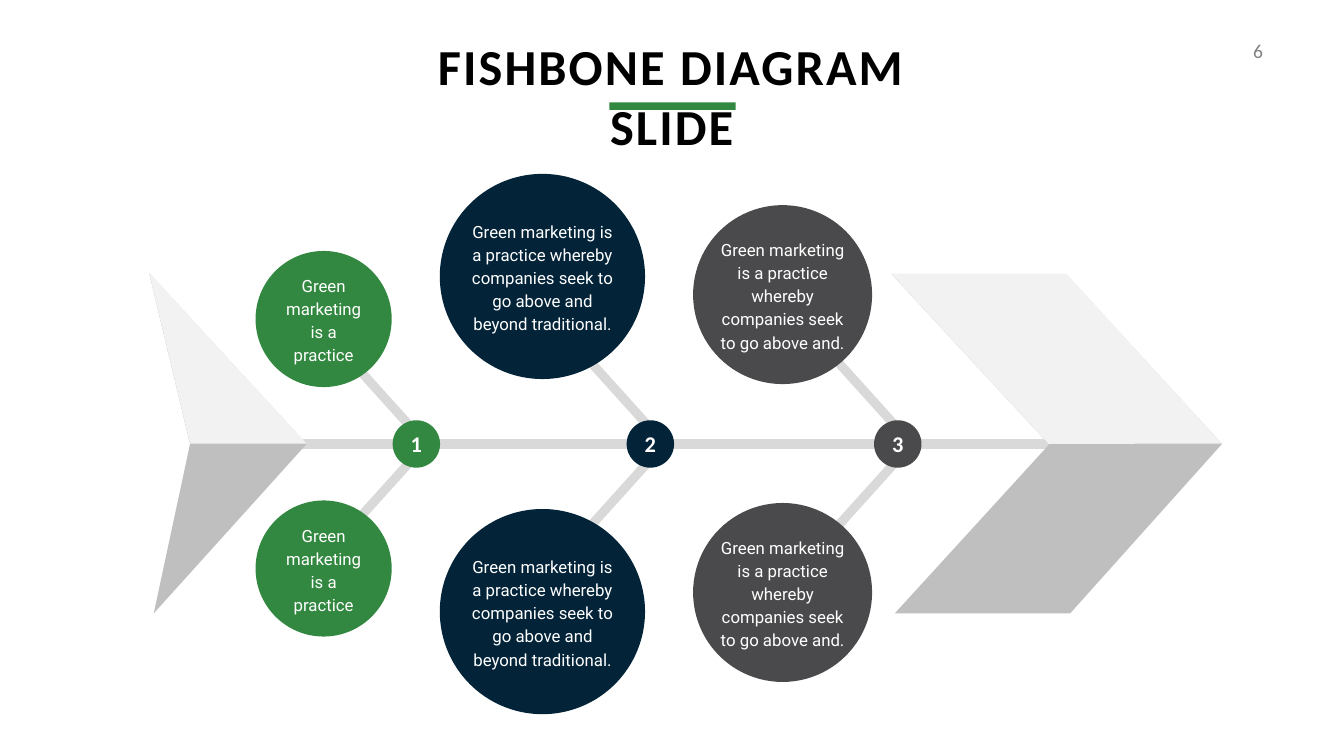
"""Build a fishbone diagram slide, with every length a percentage of the slide."""
from dataclasses import dataclass

from pptx import Presentation, util as u
from pptx.dml.color import RGBColor
from pptx.enum import shapes, text
from pptx.oxml.ns import qn
from lxml import etree


@dataclass(frozen=True)
class Theme:
    heading_font: str = "Calibri"
    body_font: str = "Roboto"
    black: str = "000000"
    white: str = "FFFFFF"
    muted: str = "808080"
    green: str = "328840"
    navy: str = "022338"
    charcoal: str = "4A4A4C"
    bone: str = "D9D9D9"
    light: str = "F2F2F2"
    shade: str = "BFBFBF"
    title_size: int = 72
    number_size: int = 32
    body_size: int = 24
    page_size: int = 28
    body_leading: int = 33
    bone_width: int = 13
    tracking: int = 3


THEME = Theme()
WIDTH, HEIGHT = 26.66, 15
SPINE_Y = 58.73
SPINE_X = (19.84, 78.92)
BONE_SLOPE = 1.11
NODE_DIAMETER = 3.53
NUMBER_BOX = (1.65, 4.27)
BODY_INSETS = (0.9, 0.8)

TITLE = ("FISHBONE DIAGRAM SLIDE", (27.61, 4.27, 44.75, 8.73))
TITLE_RULE = (45.35, 13.53, 9.38, 1)
PAGE = ("6", (91.19, 4.8, 3.15, 3.8))

BRANCHES = [
    dict(number="1", body="Green marketing is a practice", color=THEME.green,
         node=30.98, joint=31.7, reach=10.88, x=24.08, rows=(42.2, 75.2),
         diameter=10.13, box=(8.44, 10.67)),
    dict(number="2", body="Green marketing is a practice whereby companies seek to "
         "go above and beyond traditional.", color=THEME.navy,
         node=48.39, joint=49.44, reach=11.74, x=40.36, rows=(36.57, 80.9),
         diameter=15.27, box=(12.3, 16.8)),
    dict(number="3", body="Green marketing is a practice whereby companies seek to "
         "go above and.", color=THEME.charcoal,
         node=66.8, joint=67.84, reach=11.74, x=58.23, rows=(38.97, 78.37),
         diameter=13.32, box=(11.63, 16.8)),
]

FISH_PARTS = [
    (THEME.shade, [(66.58, 81.13), (79.63, 81.13), (90.92, 58.73),
                   (79.33, 36.27), (66.35, 36.27), (78.06, 58.8)]),
    (THEME.shade, [(22.81, 58.73), (11.1, 36.13), (14.14, 58.73), (11.44, 81.13)]),
    (THEME.light, [(90.89, 58.67), (79.33, 36.2), (66.32, 36.2), (78.02, 58.73)]),
    (THEME.light, [(22.81, 58.67), (11.1, 36.07), (14.14, 58.67)]),
]


def across(share):
    return u.Inches(WIDTH * share / 100)


def down(share):
    return u.Inches(HEIGHT * share / 100)


def place(box):
    left, top, width, height = box
    return across(left), down(top), across(width), down(height)


def centered(x, y, size):
    width, height = size
    return x - width / 2, y - height / 2, width, height


def paint(shape, color):
    shape.shadow.inherit = False
    shape.fill.solid()
    shape.fill.fore_color.rgb = RGBColor.from_string(color)
    shape.line.fill.background()


def add_block(slide, kind, box, color):
    paint(slide.shapes.add_shape(kind, *place(box)), color)


def add_circle(slide, x, y, diameter, color):
    size = (diameter, diameter * WIDTH / HEIGHT)
    add_block(slide, shapes.MSO_SHAPE.OVAL, centered(x, y, size), color)


def add_bone(slide, start, end):
    connector = slide.shapes.add_connector(
        shapes.MSO_CONNECTOR.STRAIGHT,
        across(start[0]), down(start[1]), across(end[0]), down(end[1]))
    connector.line.width = u.Pt(THEME.bone_width)
    connector.line.color.rgb = RGBColor.from_string(THEME.bone)
    etree.SubElement(connector._element.spPr, qn("a:effectLst"))


def add_polygon(slide, points, color):
    corners = [(across(x), down(y)) for x, y in points]
    builder = slide.shapes.build_freeform(*corners[0])
    builder.add_line_segments(corners[1:], close=True)
    paint(builder.convert_to_shape(), color)


def add_label(slide, box, words, font, size, color, bold=False, align="CENTER",
              anchor="MIDDLE", wrap=True, leading=None, insets=None, tracking=None):
    frame = slide.shapes.add_textbox(*place(box)).text_frame
    frame.word_wrap = wrap
    frame.vertical_anchor = text.MSO_ANCHOR[anchor]
    if insets:
        frame.margin_left = frame.margin_right = across(insets[0])
        frame.margin_top = frame.margin_bottom = down(insets[1])
    paragraph = frame.paragraphs[0]
    paragraph.alignment = text.PP_ALIGN[align]
    if leading:
        paragraph.line_spacing = u.Pt(leading)
    run = paragraph.add_run()
    run.text = words
    run.font.name, run.font.size, run.font.bold = font, u.Pt(size), bold
    run.font.color.rgb = RGBColor.from_string(color)
    if tracking:
        run._r.get_or_add_rPr().set("spc", str(tracking * 100))


def add_bones(slide):
    add_bone(slide, (SPINE_X[0], SPINE_Y), (SPINE_X[1], SPINE_Y))
    for branch in BRANCHES:
        rise = branch["reach"] * BONE_SLOPE * WIDTH / HEIGHT
        for side in (-1, 1):
            start = (branch["joint"] - branch["reach"], SPINE_Y + side * rise)
            add_bone(slide, start, (branch["joint"], SPINE_Y))


def add_branch(slide, branch):
    for y in branch["rows"]:
        add_circle(slide, branch["x"], y, branch["diameter"], branch["color"])
        add_label(slide, centered(branch["x"], y, branch["box"]), branch["body"],
                  THEME.body_font, THEME.body_size, THEME.white,
                  leading=THEME.body_leading, insets=BODY_INSETS)
    add_circle(slide, branch["node"], SPINE_Y, NODE_DIAMETER, branch["color"])
    add_label(slide, centered(branch["node"], SPINE_Y, NUMBER_BOX), branch["number"],
              THEME.heading_font, THEME.number_size, THEME.white, bold=True, wrap=False)


def main():
    presentation = Presentation()
    presentation.slide_width, presentation.slide_height = across(100), down(100)
    slide = presentation.slides.add_slide(presentation.slide_layouts[6])
    add_label(slide, PAGE[1], PAGE[0], THEME.heading_font, THEME.page_size, THEME.muted,
              align="RIGHT", anchor="TOP", tracking=THEME.tracking)
    add_bones(slide)
    for color, points in FISH_PARTS:
        add_polygon(slide, points, color)
    for branch in BRANCHES:
        add_branch(slide, branch)
    add_label(slide, TITLE[1], TITLE[0], THEME.heading_font, THEME.title_size, THEME.black,
              bold=True, anchor="TOP", tracking=THEME.tracking)
    add_block(slide, shapes.MSO_SHAPE.RECTANGLE, TITLE_RULE, THEME.green)
    presentation.save("out.pptx")


if __name__ == "__main__":
    main()
